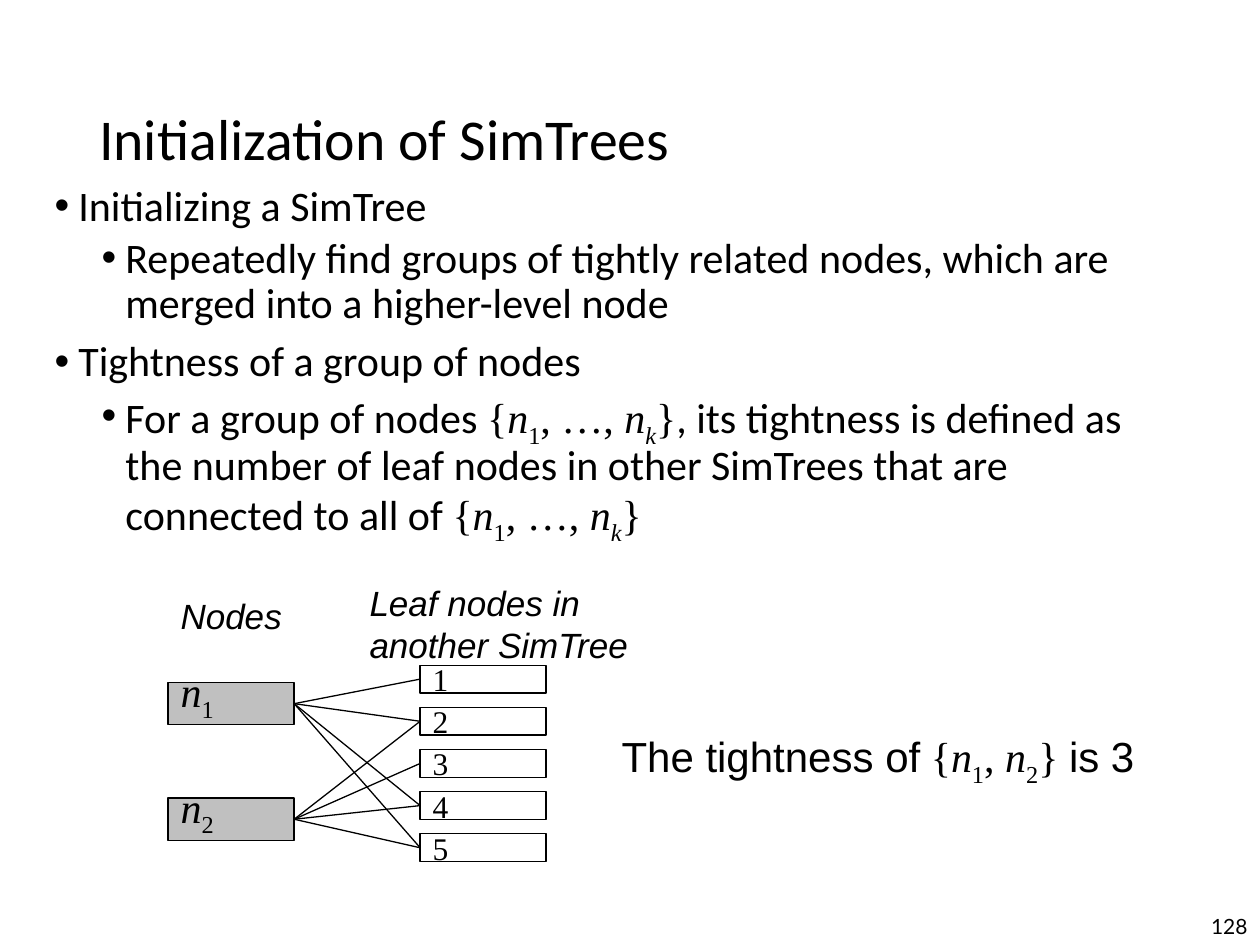
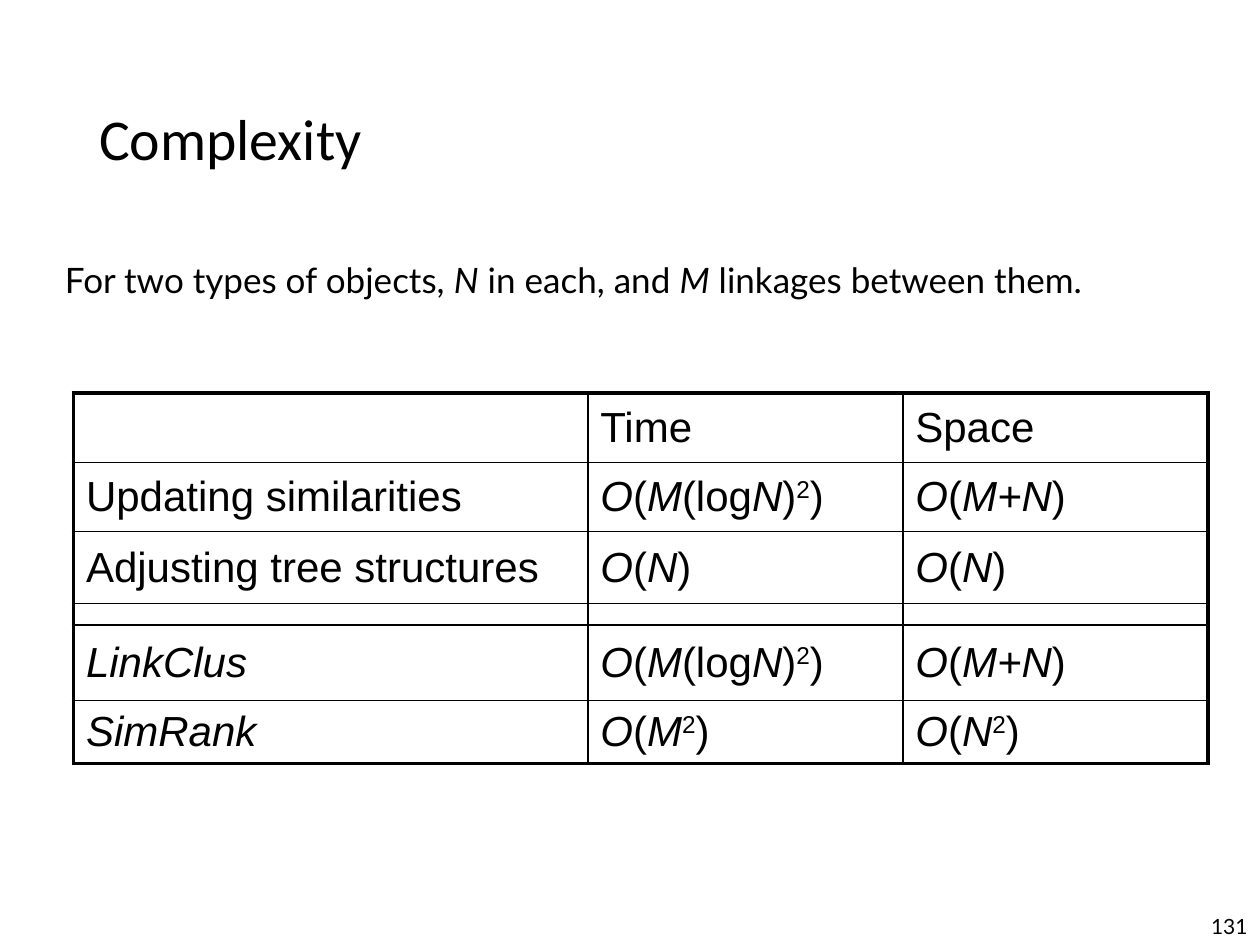
from dataclasses import dataclass

from lxml import etree
from pptx import Presentation
from pptx.dml.color import RGBColor
from pptx.enum.shapes import MSO_CONNECTOR, MSO_SHAPE
from pptx.enum.text import MSO_ANCHOR, PP_ALIGN
from pptx.oxml.ns import qn
from pptx.util import Cm, Pt

RECTANGLE = MSO_SHAPE.RECTANGLE
STRAIGHT = MSO_CONNECTOR.STRAIGHT
TOP, MIDDLE, BOTTOM = MSO_ANCHOR.TOP, MSO_ANCHOR.MIDDLE, MSO_ANCHOR.BOTTOM
LEFT, RIGHT = PP_ALIGN.LEFT, PP_ALIGN.RIGHT
LEFT_SIDE, RIGHT_SIDE = 1, 3


@dataclass(frozen=True)
class Theme:
    ink: RGBColor = RGBColor(0, 0, 0)
    paper: RGBColor = RGBColor(255, 255, 255)
    node: RGBColor = RGBColor(0xC0, 0xC0, 0xC0)
    heading: str = "Calibri"
    plain: str = "Arial"
    note: str = "Lato"
    math: str = "Times New Roman"
    title_size: int = 33
    body_size: int = 24
    label_size: int = 20
    leaf_size: int = 18
    number_size: int = 12
    spacer_size: int = 4
    hairline: float = 0.75
    inner_border: float = 1
    outer_border: float = 2.25


theme = Theme()


def write(paragraph, markup, font, size):
    """Marks switch a style on and off: * italic, _ subscript, ^ superscript, $ math font."""
    paragraph.font.name = font
    paragraph.font.size = Pt(size)
    paragraph.font.color.rgb = theme.ink
    active = set()
    pending = ""
    for symbol in markup + "*":
        if symbol not in "*_^$":
            pending += symbol
            continue
        if pending:
            run = paragraph.add_run()
            run.text = pending
            if "*" in active:
                run.font.italic = True
            if "$" in active:
                run.font.name = theme.math
            if "_" in active:
                run.font._rPr.set("baseline", "-25000")
            if "^" in active:
                run.font._rPr.set("baseline", "30000")
            pending = ""
        active ^= {symbol}


def add_text(slide, box, markup, font, size, anchor=TOP, align=LEFT):
    frame = slide.shapes.add_textbox(*map(Cm, box)).text_frame
    frame.word_wrap = True
    frame.vertical_anchor = anchor
    paragraph = frame.paragraphs[0]
    paragraph.alignment = align
    write(paragraph, markup, font, size)
    return frame


prs = Presentation()
prs.slide_width, prs.slide_height = Cm(25.4), Cm(19.05)

slides = []
for title, number in [("Initialization of SimTrees", "128"), ("Complexity", "131")]:
    slide = prs.slides.add_slide(prs.slide_layouts[6])
    heading = add_text(slide, (1.75, 1.02, 21.9, 3.68), title,
                       theme.heading, theme.title_size, MIDDLE)
    heading.paragraphs[0].line_spacing = 0.9
    add_text(slide, (20.11, 17.99, 5.29, 1.06), number,
             theme.note, theme.number_size, BOTTOM, RIGHT)
    slides.append(slide)
simtrees, complexity = slides

group_of_nodes = "${*n*_1_, …, *n*_*k*_}$"
points = [
    (0, "Initializing a SimTree"),
    (1, "Repeatedly find groups of tightly related nodes, which are merged into a higher-level node"),
    (0, "Tightness of a group of nodes"),
    (1, f"For a group of nodes {group_of_nodes}, its tightness is defined as the number of leaf nodes "
        f"in other SimTrees that are connected to all of {group_of_nodes}"),
]
body = simtrees.shapes.add_textbox(Cm(0.85), Cm(3.6), Cm(23.28), Cm(8.68)).text_frame
body.word_wrap = True
for index, (level, point) in enumerate(points):
    paragraph = body.add_paragraph() if index else body.paragraphs[0]
    paragraph.level = level
    paragraph.line_spacing = 0.9
    paragraph.space_before = Pt(3.8 if level else 7.5)
    write(paragraph, point, theme.heading, theme.body_size)
    props = paragraph._p.get_or_add_pPr()
    props.set("marL", str(Cm(0.48 + 0.95 * level)))
    props.set("indent", str(Cm(-0.48)))
    for tag, key, setting in [("a:buFont", "typeface", theme.plain), ("a:buChar", "char", "•")]:
        bullet = etree.SubElement(props, qn(tag))
        bullet.set(key, setting)
        props.insert_element_before(bullet, "a:defRPr")

diagram = simtrees.shapes.add_group_shape()
nodes = [(3.39, 13.76 + 2.33 * i, 0.85, f"*n*_{i + 1}_", theme.node, theme.body_size, 0, 0.38)
         for i in range(2)]
leaves = [(8.47, 13.41 + 0.85 * i, 0.56, str(i + 1), theme.paper, theme.leaf_size, 0.13, 0.13)
          for i in range(5)]
boxes = []
for left, top, height, label, fill, size, inset_top, inset_bottom in nodes + leaves:
    box = diagram.shapes.add_shape(RECTANGLE, Cm(left), Cm(top), Cm(2.54), Cm(height))
    box.shadow.inherit = False
    box.fill.solid()
    box.fill.fore_color.rgb = fill
    box.line.color.rgb = theme.ink
    box.line.width = Pt(theme.hairline)
    frame = box.text_frame
    frame.word_wrap = False
    frame.vertical_anchor = MIDDLE
    frame.margin_top, frame.margin_bottom = Cm(inset_top), Cm(inset_bottom)
    frame.paragraphs[0].alignment = LEFT
    write(frame.paragraphs[0], label, theme.math, size)
    boxes.append(box)

node_boxes, leaf_boxes = boxes[:2], boxes[2:]
for node_box, linked_leaves in zip(node_boxes, [(1, 2, 4, 5), (2, 3, 4, 5)]):
    for leaf in linked_leaves:
        link = diagram.shapes.add_connector(STRAIGHT, 0, 0, 0, 0)
        link.begin_connect(node_box, RIGHT_SIDE)
        link.end_connect(leaf_boxes[leaf - 1], LEFT_SIDE)
        link.line.color.rgb = theme.ink
        link.line.width = Pt(theme.hairline)
        etree.SubElement(link._element.spPr, qn("a:effectLst"))

add_text(simtrees, (12.28, 14.61, 11, 1.27), "The tightness of$ {*n*_1_, *n*_2_} $is 3",
         theme.plain, theme.body_size)
add_text(simtrees, (3.39, 11.85, 2.96, 1.11), "*Nodes*", theme.plain, theme.label_size)
add_text(simtrees, (7.2, 11.6, 5.72, 1.96), "*Leaf nodes in another SimTree*",
         theme.plain, theme.label_size)

add_text(complexity, (1.06, 5.08, 23.28, 1.09),
         "For two types of objects, *N* in each, and *M* linkages between them.",
         theme.note, theme.label_size)

costs = [
    ("", "Time", "Space"),
    ("Updating similarities", "*O*(*M*(log*N*)^2^)", "*O*(*M+N*)"),
    ("Adjusting tree structures", "*O*(*N*)", "*O*(*N*)"),
    ("", "", ""),
    ("*LinkClus*", "*O*(*M*(log*N*)^2^)", "*O*(*M+N*)"),
    ("*SimRank*", "*O*(*M*^2^)", "*O*(*N*^2^)"),
]
column_widths = [10.37, 6.35, 6.15]
row_heights = [1.4, 1.4, 1.45, 0.43, 1.52, 1.27]
table = complexity.shapes.add_table(
    len(row_heights), len(column_widths), Cm(1.48), Cm(7.92),
    Cm(sum(column_widths)), Cm(sum(row_heights))).table
table.first_row = table.horz_banding = False
for column, width in zip(table.columns, column_widths):
    column.width = Cm(width)
for row, height in zip(table.rows, row_heights):
    row.height = Cm(height)

last_row, last_column = len(row_heights) - 1, len(column_widths) - 1
for r, entries in enumerate(costs):
    for c, entry in enumerate(entries):
        cell = table.cell(r, c)
        cell.vertical_anchor = MIDDLE
        size = theme.body_size if entry else theme.spacer_size
        if not entry:
            cell.margin_top = cell.margin_bottom = 0
        write(cell.text_frame.paragraphs[0], entry, theme.plain, size)
        cell_props = cell._tc.get_or_add_tcPr()
        outer_sides = {"a:lnL": c == 0, "a:lnR": c == last_column,
                       "a:lnT": r == 0, "a:lnB": r == last_row}
        for side, is_outer in outer_sides.items():
            width = theme.outer_border if is_outer else theme.inner_border
            border = etree.SubElement(cell_props, qn(side), w=str(Pt(width)))
            paint = etree.SubElement(border, qn("a:solidFill"))
            etree.SubElement(paint, qn("a:srgbClr"), val=str(theme.ink))
        cell.fill.solid()
        cell.fill.fore_color.rgb = theme.paper

prs.save("out.pptx")
